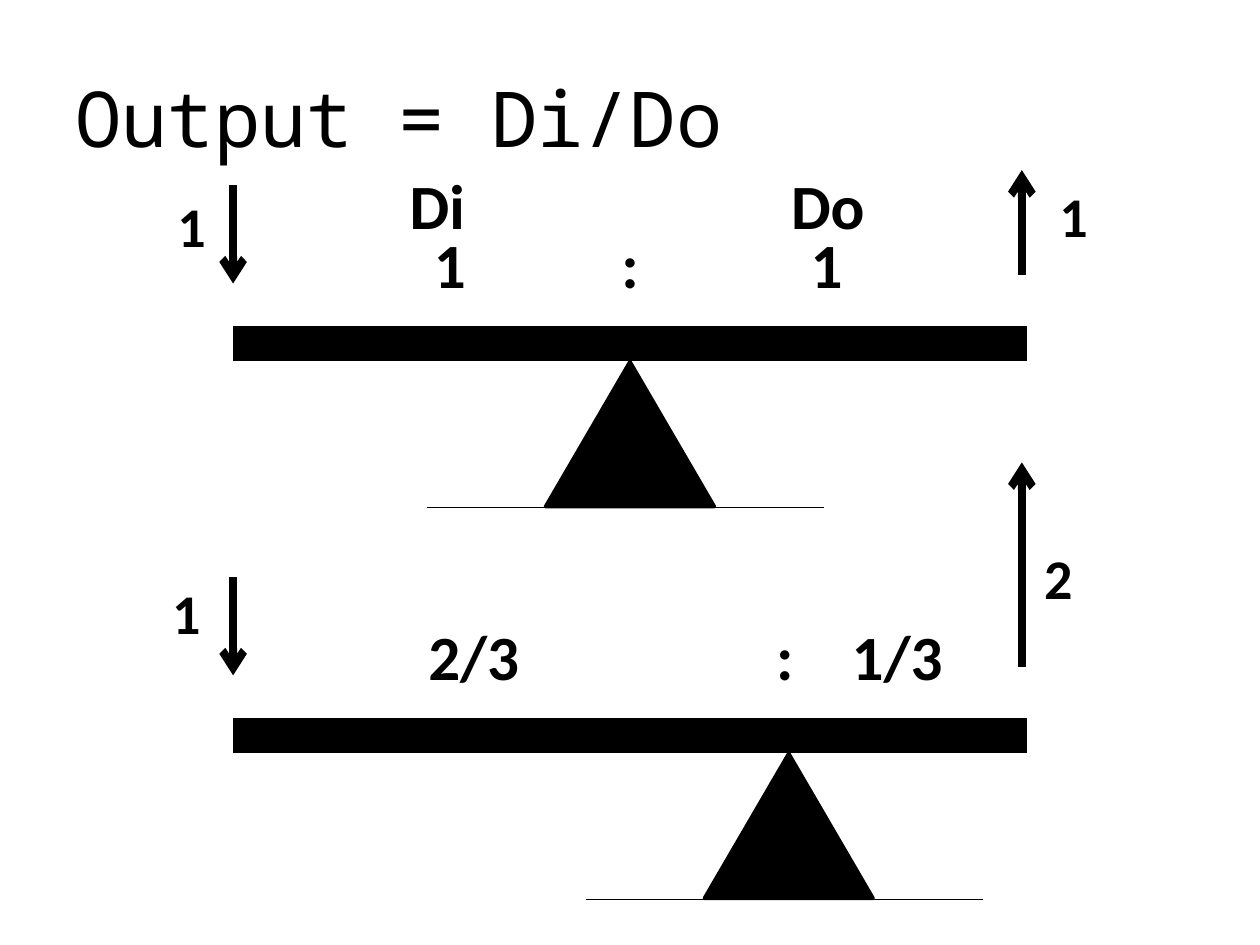
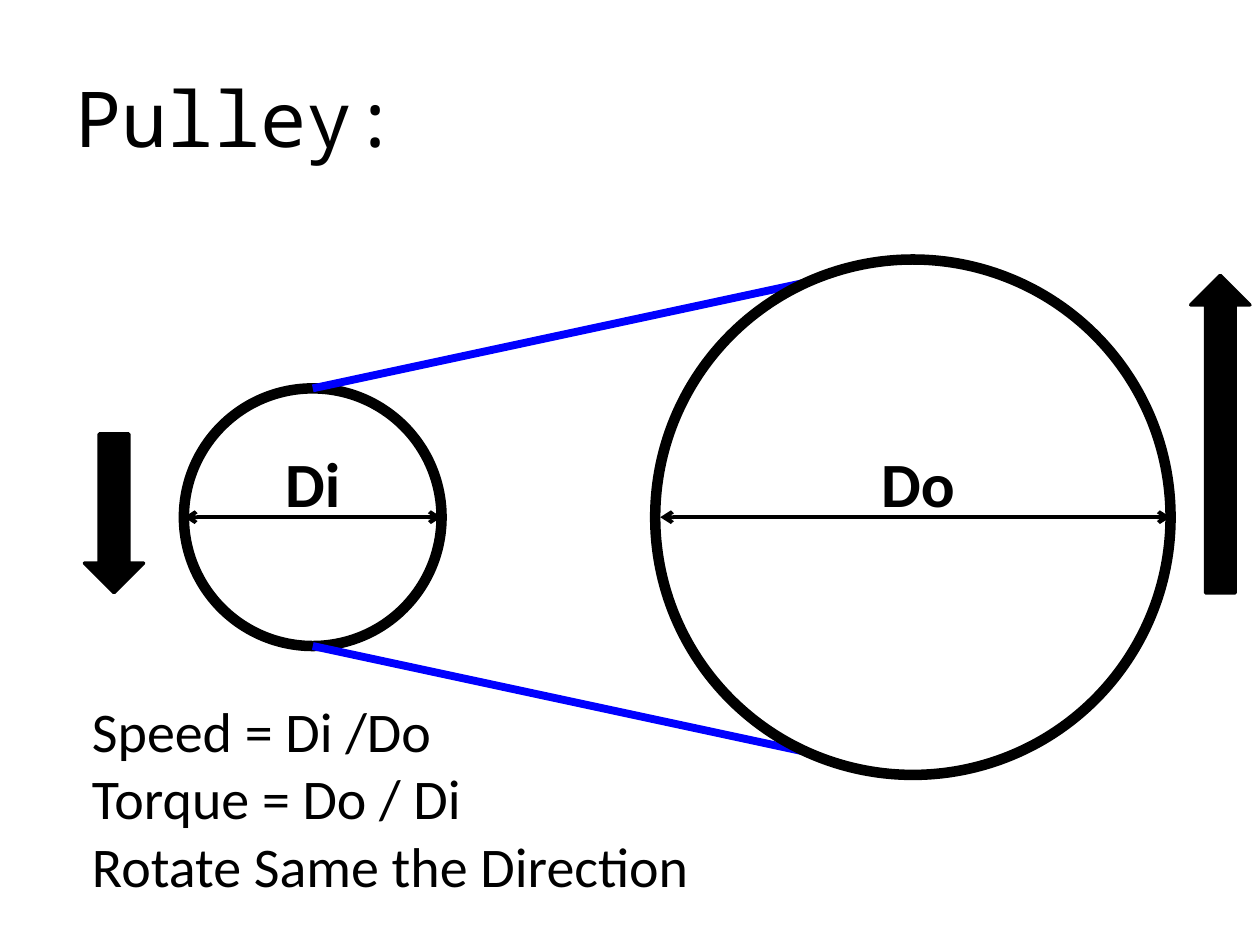
from dataclasses import dataclass

from pptx import Presentation
from pptx.dml.color import RGBColor
from pptx.enum.shapes import MSO_CONNECTOR, MSO_SHAPE
from pptx.enum.text import MSO_ANCHOR, MSO_AUTO_SIZE, PP_ALIGN
from pptx.oxml.ns import qn
from pptx.util import Inches, Pt
from lxml.etree import SubElement

COLUMNS, ROWS = 100, 75
WIDTH, HEIGHT = Inches(10), Inches(7.5)


@dataclass(frozen=True)
class Theme:
    """Colours, fonts and sizes shared by the slides."""

    ink: RGBColor = RGBColor(0, 0, 0)
    paper: RGBColor = RGBColor(255, 255, 255)
    belt: RGBColor = RGBColor(0, 0, 255)
    title_font: str = "Noto Sans Mono"
    text_font: str = "Calibri"
    title_size: int = 44
    ratio_size: int = 36
    text_size: int = 32


@dataclass(frozen=True)
class Box:
    """A region in grid columns and rows."""

    left: float
    top: float
    width: float
    height: float

    def inner(self, left, top, width, height):
        """Return a box placed relative to this one."""
        return Box(self.left + left, self.top + top, width, height)

    def point(self, column, row):
        """Return a point relative to this box."""
        return self.left + column, self.top + row

    def lengths(self):
        """Return the box as slide lengths."""
        return (*to_slide(self.left, self.top), *to_slide(self.width, self.height))


THEME = Theme()
TITLE_BOX = Box(5, 3, 90, 12.5)


def to_slide(column, row):
    """Convert a grid position to slide lengths."""
    return round(column * WIDTH / COLUMNS), round(row * HEIGHT / ROWS)


def set_attributes(target, values):
    """Set every attribute named in a dict."""
    for name, value in values.items():
        setattr(target, name, value)


def style_text(paragraph, size, font=THEME.text_font, bold=False):
    """Format a paragraph's font."""
    set_attributes(paragraph.font, {"name": font, "size": Pt(size), "bold": bold})
    paragraph.font.color.rgb = THEME.ink


def place(shape, box):
    """Move a shape to a box."""
    set_attributes(shape, dict(zip(("left", "top", "width", "height"), box.lengths())))


def add_titled_slide(presentation, layout, title):
    """Add a slide with the shared title style."""
    slide = presentation.slides.add_slide(presentation.slide_layouts.get_by_name(layout))
    shape = slide.shapes.title
    place(shape, TITLE_BOX)
    shape.text_frame.text = title
    shape.text_frame.vertical_anchor = MSO_ANCHOR.MIDDLE
    paragraph = shape.text_frame.paragraphs[0]
    paragraph.alignment = PP_ALIGN.LEFT
    style_text(paragraph, THEME.title_size, THEME.title_font)
    return slide


def add_line(slide, start, end, weight, color=THEME.ink, arrows=()):
    """Add a line, with arrowheads at the named ends."""
    connector = slide.shapes.add_connector(
        MSO_CONNECTOR.STRAIGHT, *to_slide(*start), *to_slide(*end))
    connector.line.color.rgb = color
    connector.line.width = Pt(weight)
    for end_name in arrows:
        SubElement(connector.line._get_or_add_ln(), qn(f"a:{end_name}"), type="arrow")
    SubElement(connector._element.spPr, qn("a:effectLst"))


def add_figure(slide, kind, box, weight=2, fill=THEME.ink, rotation=0):
    """Add an outlined preset shape, hollow when it has no fill."""
    shape = slide.shapes.add_shape(kind, *box.lengths())
    shape.shadow.inherit = False
    shape.rotation = rotation
    shape.line.color.rgb = THEME.ink
    shape.line.width = Pt(weight)
    if fill is None:
        shape.fill.background()
    else:
        shape.fill.solid()
        shape.fill.fore_color.rgb = fill


def add_label(slide, text, center, size=THEME.ratio_size):
    """Add a bold label centred on a point."""
    column, row = center
    box = Box(column - 6, row - 3.55, 12, 7.1)
    frame = slide.shapes.add_textbox(*box.lengths()).text_frame
    set_attributes(frame, {"word_wrap": True, "vertical_anchor": MSO_ANCHOR.MIDDLE})
    paragraph = frame.paragraphs[0]
    paragraph.text = text
    paragraph.alignment = PP_ALIGN.CENTER
    style_text(paragraph, size, bold=True)


def add_lever(slide, box, pivot_share, output_top, ratio, forces):
    """Draw a lever with its pivot, forces and distance ratio."""
    beam, pivot = 13.8, box.width * pivot_share
    output = box.width - 0.4
    add_line(slide, box.point(0, beam), box.point(box.width, beam), 20)
    add_figure(slide, MSO_SHAPE.ISOSCELES_TRIANGLE,
               box.inner(pivot - 6.7, beam + 1.4, 13.4, 11.5))
    add_line(slide, box.point(pivot - 16.1, box.height),
             box.point(pivot + 15.4, box.height), 0.75)
    add_line(slide, box.point(0, 1.2), box.point(0, 9), 4.5, arrows=["tailEnd"])
    add_line(slide, box.point(output, 8.3), box.point(output, output_top), 4.5,
             arrows=["tailEnd"])
    for text, column in ratio:
        add_label(slide, text, box.point(column, 7.4))
    for text, column, row in forces:
        add_label(slide, text, box.point(column, row), THEME.text_size)


def add_pulley(slide, box):
    """Draw two wheels joined by a belt, with diameters and directions."""
    small, large = box.height / 2, box.height
    middle, large_left = box.height / 2, box.width - large
    small_center, large_center = small / 2, large_left + large / 2
    add_figure(slide, MSO_SHAPE.OVAL,
               box.inner(0, middle - small / 2, small, small), 6, None)
    for side in (-1, 1):
        add_line(slide, box.point(small_center, middle + side * small / 2),
                 box.point(large_center, middle + side * large / 2), 4.5, THEME.belt)
    add_figure(slide, MSO_SHAPE.OVAL,
               box.inner(large_left, 0, large, large), 6, THEME.paper)
    for text, left, right, center in (
            ("Di", 0, small, small_center),
            ("Do", large_left + 0.4, box.width, large_center + 0.4)):
        add_line(slide, box.point(left, middle), box.point(right, middle), 2.25,
                 arrows=["headEnd", "tailEnd"])
        add_label(slide, text, box.point(center, middle - 2.8))
    for left, length, rotation in ((-7.9, 12.6, 0), (box.width + 1.6, 25.2, 180)):
        add_figure(slide, MSO_SHAPE.DOWN_ARROW,
                   box.inner(left, middle + 6 - length, 4.7, length), rotation=rotation)


def fill_formulas(slide, box, lines):
    """Fill the body placeholder with plain lines."""
    body = slide.placeholders[1]
    place(body, box)
    frame = body.text_frame
    frame.text = "\n".join(lines)
    set_attributes(frame, {"word_wrap": True, "auto_size": MSO_AUTO_SIZE.NONE})
    for paragraph in frame.paragraphs:
        properties = paragraph._p.get_or_add_pPr()
        set_attributes(paragraph, {"space_before": Pt(0), "space_after": Pt(0)})
        for name in ("marL", "indent"):
            properties.set(name, "0")
        SubElement(properties, qn("a:buNone"))
        style_text(paragraph, THEME.text_size)


def build_lever_slide(presentation):
    """Compare an even lever with a two-to-one lever."""
    slide = add_titled_slide(presentation, "Title Only", "Output = Di/Do")
    even = Box(18.5, 13.5, 63, 26.8)
    add_lever(slide, even, 0.5, 0, [("1", 17.2), (":", 31.5), ("1", 47.1)],
              [("1", -3.3, 4.4), ("1", 66.7, 3.6)])
    for text, column in (("Di", 16.2), ("Do", 47.2)):
        add_label(slide, text, even.point(column, 2.7))
    add_lever(slide, even.inner(0, 31.1, even.width, even.height), 0.7, -7.9,
              [("2/3", 19.1), (":", 43.8), ("1/3", 52.7)],
              [("1", -3.7, 4), ("2", 65.5, 1.2)])


def build_pulley_slide(presentation):
    """Show the pulley drive and its formulas."""
    slide = add_titled_slide(presentation, "Title and Content", "Pulley:")
    add_pulley(slide, Box(14.6, 20.6, 78.3, 40.9))
    fill_formulas(slide, Box(6.3, 54.8, 50, 17.2),
                  ["Speed = Di /Do", "Torque = Do / Di", "Rotate Same the Direction"])


def main():
    """Build and save the presentation."""
    presentation = Presentation()
    set_attributes(presentation, {"slide_width": WIDTH, "slide_height": HEIGHT})
    build_lever_slide(presentation)
    build_pulley_slide(presentation)
    presentation.save("out.pptx")


if __name__ == "__main__":
    main()
